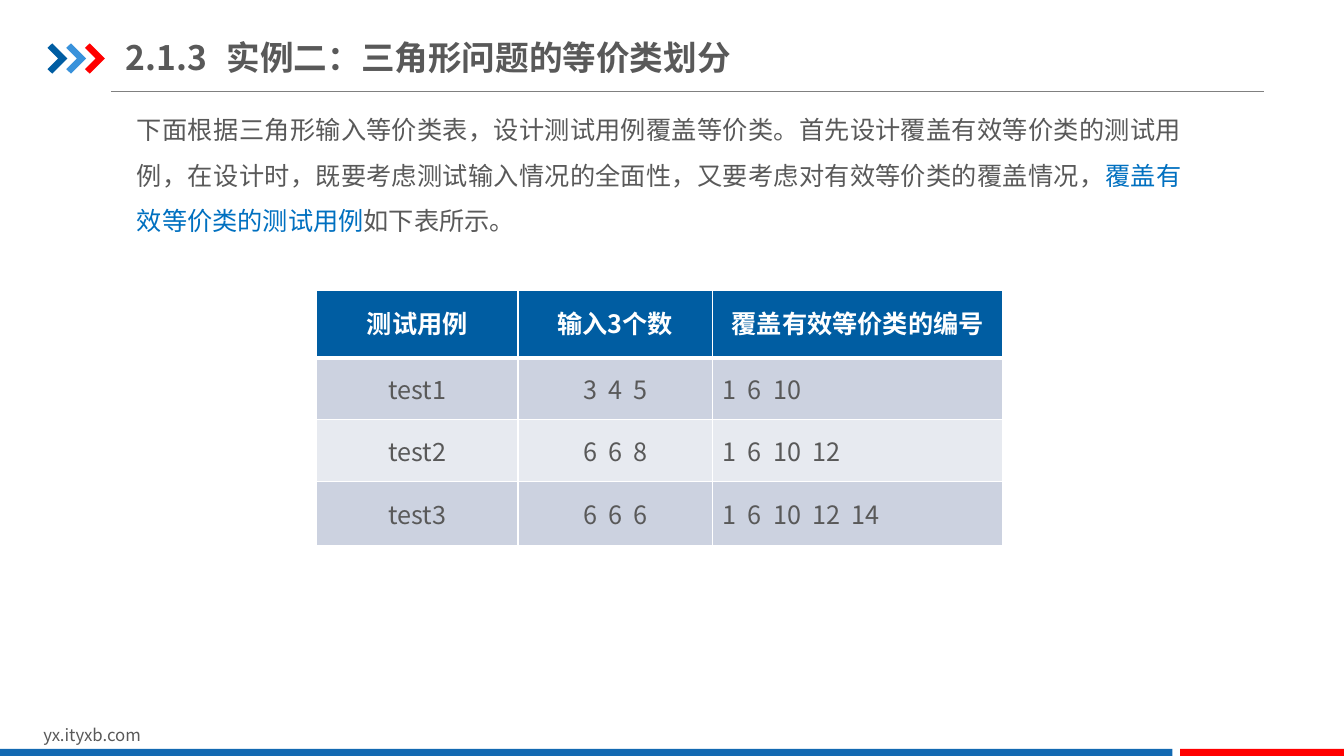
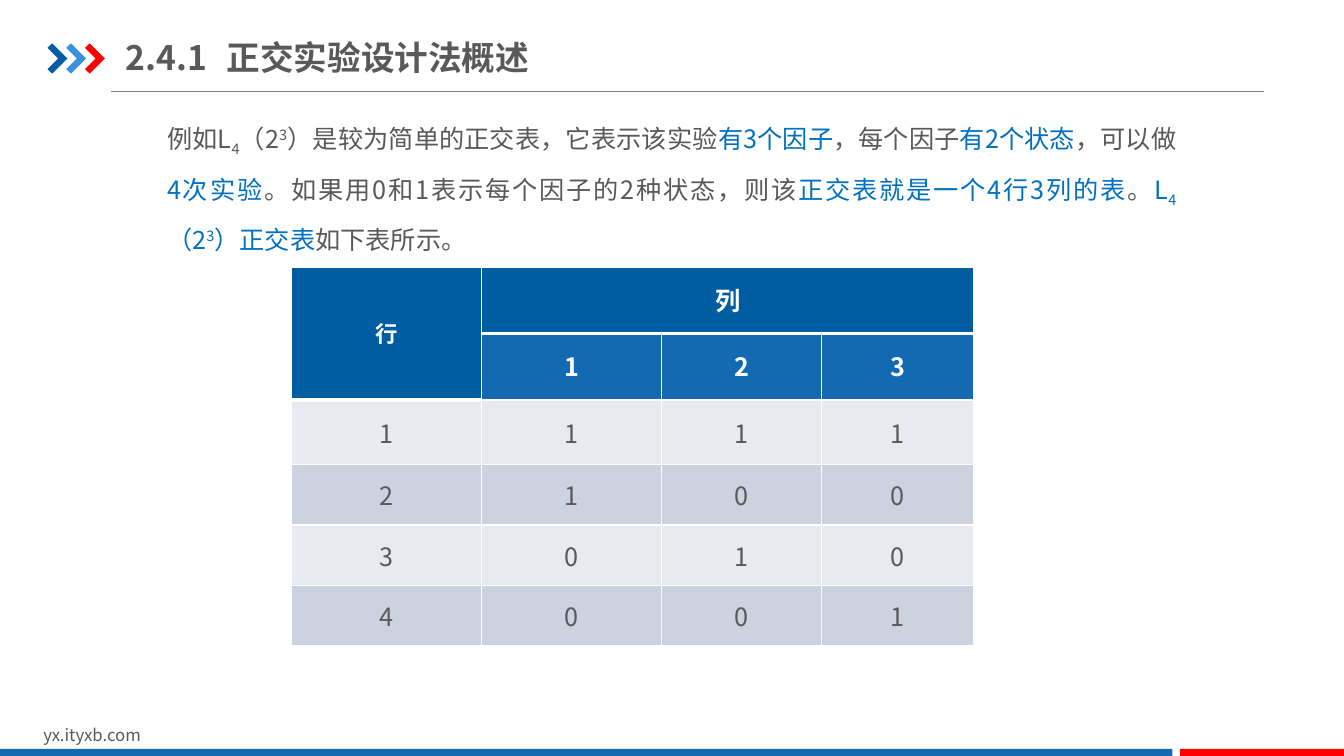
from lxml.etree import SubElement
from pptx import Presentation
from pptx.dml.color import RGBColor
from pptx.enum.shapes import MSO_CONNECTOR as Connector, MSO_SHAPE as Shape
from pptx.enum.text import MSO_ANCHOR as Anchor, PP_ALIGN as Align
from pptx.oxml.ns import qn
from pptx.util import Pt

FONT = "Noto Sans CJK SC"
NAVY, BLUE, SKY, RED = "005DA2", "1369B2", "3992DB", "FF0000"
GREY, KEY, RULE, WHITE = "595959", "0070C0", "808080", "FFFFFF"
BANDS = ["E7EAF0", "CCD2E0"]
HEADER_FILLS = [NAVY, BLUE]
SUBSCRIPT, SUPERSCRIPT = -25000, 30000

TITLE = {"size": Pt(24), "bold": True}
BODY = {"size": Pt(18), "bold": False}
HEADER = {"size": Pt(18), "bold": True}
SIDE_HEADER = {"size": Pt(16), "bold": True}
FOOTER = {"size": Pt(12), "bold": False}

WEBSITE = "yx.ityxb.com"
CHEVRON = [(0, 3.2), (3.4, 0), (14.2, 10.8), (3.4, 21.6), (0, 18.4), (7.6, 10.8)]
CHEVRON_LEFT, CHEVRON_TOP, CHEVRON_STEP = 33.9, 31, 13.4
FOOTER_BARS = [(0, 837.4, BLUE), (843, 117, RED)]

# Each body run is (text, colour) or (text, colour, baseline).
# "rules" gives, per column, the last header row, which has a heavy line below.
SLIDES = [
    {
        "title": "2.1.3\t实例二：三角形问题的等价类划分",
        "body_box": (90.8, 67.6, 760.3, 104),
        "body": [
            ("下面根据三角形输入等价类表，设计测试用例覆盖等价类。首先设计覆盖有效等价类的测试用例，"
             "在设计时，既要考虑测试输入情况的全面性，又要考虑对有效等价类的覆盖情况，", GREY),
            ("覆盖有效等价类的测试用例", KEY),
            ("如下表所示。", GREY),
        ],
        "table": {
            "at": (226, 207.4),
            "columns": [144, 139, 207.4],
            "rows": [48.2, 43.9, 44.6, 45.4],
            "cells": [
                ["测试用例", "输入3个数", "覆盖有效等价类的编号"],
                ["test1", "3  4  5", "1  6  10"],
                ["test2", "6  6  8", "1  6  10  12"],
                ["test3", "6  6  6", "1  6  10  12  14"],
            ],
            "header_rows": 1,
            "rules": [0, 0, 0],
            "aligns": [Align.CENTER, Align.CENTER, Align.LEFT],
            "merges": [],
        },
    },
    {
        "title": "2.4.1\t正交实验设计法概述",
        "body_box": (112.3, 72, 735.1, 105.1),
        "body": [
            ("例如L", GREY), ("4", GREY, SUBSCRIPT),
            ("（2", GREY), ("3", GREY, SUPERSCRIPT),
            ("）是较为简单的正交表，它表示该实验", GREY),
            ("有3个因子", KEY), ("，每个因子", GREY),
            ("有2个状态", KEY), ("，可以做", GREY),
            ("4次实验", KEY),
            ("。如果用0和1表示每个因子的2种状态，则该", GREY),
            ("正交表就是一个4行3列的表", KEY), ("。", GREY),
            ("L", KEY), ("4", KEY, SUBSCRIPT),
            ("（2", KEY), ("3", KEY, SUPERSCRIPT),
            ("）正交表", KEY), ("如下表所示。", GREY),
        ],
        "table": {
            "at": (208.1, 190.8),
            "columns": [136.1, 128.2, 114.5, 108.7],
            "rows": [47.5, 47.5, 46.1, 43.2, 43.2, 43.2],
            "cells": [
                ["行", "列", "", ""],
                ["", "1", "2", "3"],
                ["1", "1", "1", "1"],
                ["2", "1", "0", "0"],
                ["3", "0", "1", "0"],
                ["4", "0", "0", "1"],
            ],
            "header_rows": 2,
            "rules": [1, 0, 0, 0],
            "aligns": [Align.CENTER] * 4,
            "merges": [((0, 0), (1, 0)), ((0, 1), (0, 3))],
            "formats": {(0, 0): SIDE_HEADER},
        },
    },
]


def color(hex_string):
    return RGBColor.from_string(hex_string)


def points(values):
    return [Pt(value) for value in values]


def add_run(paragraph, text, style, text_color, baseline=0):
    run = paragraph.add_run()
    run.text = text
    for name, value in style.items():
        setattr(run.font, name, value)
    run.font.name = FONT
    run.font.color.rgb = color(text_color)
    properties = run._r.get_or_add_rPr()
    SubElement(properties, qn("a:ea"), typeface=FONT)
    if baseline:
        properties.set("baseline", str(baseline))


def add_text(slide, box, runs, style, anchor=Anchor.TOP, margin_x=7.2,
             align=Align.LEFT, line_spacing=1.0):
    frame = slide.shapes.add_textbox(*points(box)).text_frame
    frame.word_wrap = True
    frame.vertical_anchor = anchor
    frame.margin_left = frame.margin_right = Pt(margin_x)
    paragraph = frame.paragraphs[0]
    paragraph.alignment = align
    paragraph.line_spacing = line_spacing
    for text, *look in runs:
        add_run(paragraph, text, style, *look)


def paint(shape, fill):
    shape.shadow.inherit = False
    shape.fill.solid()
    shape.fill.fore_color.rgb = color(fill)
    shape.line.fill.background()


def add_frame(slide, title):
    """Draw the title, chevrons, rule and footer that all slides share."""
    rule = slide.shapes.add_connector(Connector.STRAIGHT, *points((79.2, 65.5, 902.9, 65.5)))
    rule.line.color.rgb = color(RULE)
    rule.line.width = Pt(0.75)
    SubElement(rule._element.spPr, qn("a:effectLst"))

    for index, fill in enumerate((NAVY, SKY, RED)):
        left = CHEVRON_LEFT + index * CHEVRON_STEP
        corners = [points((left + x, CHEVRON_TOP + y)) for x, y in CHEVRON]
        builder = slide.shapes.build_freeform(*corners[0])
        builder.add_line_segments(corners[1:], close=True)
        paint(builder.convert_to_shape(), fill)

    add_text(slide, (23.8, 514.1, 229, 21.6), [(WEBSITE, GREY)], FOOTER)
    for left, width, fill in FOOTER_BARS:
        bar = slide.shapes.add_shape(Shape.RECTANGLE, *points((left, 535, width, 5)))
        paint(bar, fill)
    add_text(slide, (90, 20.9, 800, 39.6), [(title, GREY)], TITLE, Anchor.MIDDLE, margin_x=0)


def set_borders(cell, widths):
    properties = cell._tc.get_or_add_tcPr()
    for side, width in widths.items():
        line = SubElement(properties, qn(f"a:ln{side}"), w=str(Pt(width)))
        fill = SubElement(line, qn("a:solidFill"))
        SubElement(fill, qn("a:srgbClr"), val=WHITE)


def add_grid(slide, content):
    columns, rows = content["columns"], content["rows"]
    box = (*content["at"], sum(columns), sum(rows))
    table = slide.shapes.add_table(len(rows), len(columns), *points(box)).table
    for column, width in zip(table.columns, columns):
        column.width = Pt(width)
    for row, height in zip(table.rows, rows):
        row.height = Pt(height)

    for row, texts in enumerate(content["cells"]):
        is_header = row < content["header_rows"]
        fill = HEADER_FILLS[row] if is_header else BANDS[row % 2]
        for column, text in enumerate(texts):
            cell = table.cell(row, column)
            rule = content["rules"][column]
            set_borders(cell, {
                "L": 1,
                "R": 1,
                "T": 3 if 0 < row <= rule + 1 else 1,
                "B": 3 if row <= rule else 1,
            })
            cell.fill.solid()
            cell.fill.fore_color.rgb = color(fill)
            cell.vertical_anchor = Anchor.MIDDLE
            paragraph = cell.text_frame.paragraphs[0]
            paragraph.alignment = Align.CENTER if is_header else content["aligns"][column]
            paragraph.line_spacing = 0.9 if is_header else 1.0
            if text:
                style = HEADER if is_header else BODY
                style = content.get("formats", {}).get((row, column), style)
                add_run(paragraph, text, style, WHITE if is_header else GREY)

    for first, last in content["merges"]:
        table.cell(*first).merge(table.cell(*last))


def main():
    presentation = Presentation()
    presentation.slide_width, presentation.slide_height = Pt(960), Pt(540)
    for content in SLIDES:
        slide = presentation.slides.add_slide(presentation.slide_layouts[6])
        add_frame(slide, content["title"])
        add_text(slide, content["body_box"], content["body"], BODY,
                 align=Align.JUSTIFY, line_spacing=1.5)
        add_grid(slide, content["table"])
    presentation.save("out.pptx")


if __name__ == "__main__":
    main()
